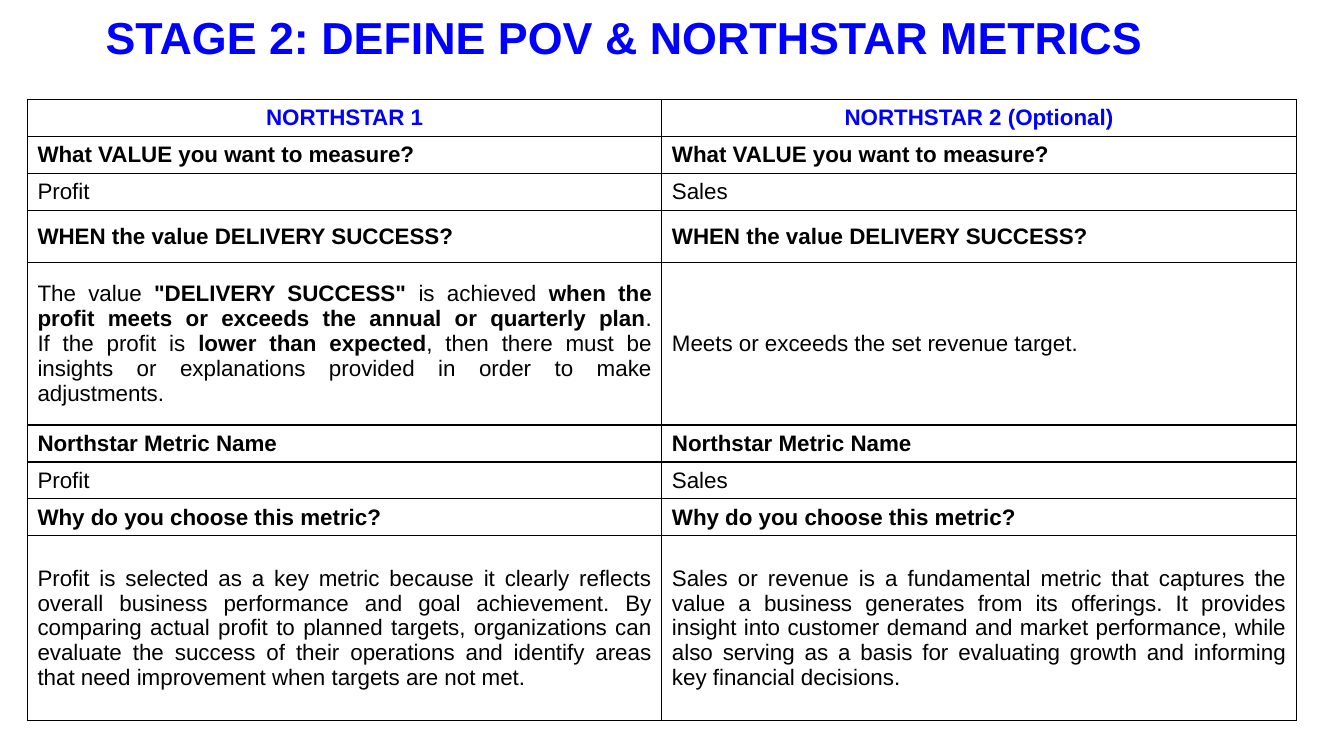
"""Build the Stage 2 slide: point of view and northstar metrics table."""
from lxml import etree
from pptx import Presentation
from pptx import util as u
from pptx.dml import color
from pptx.enum import text
from pptx.oxml import ns

COLORS = {"blue": "0000FF", "black": "000000", "white": "FFFFFF"}
FONT = "Arial"
TITLE = "STAGE 2: DEFINE POV & NORTHSTAR METRICS"
HEADERS = ("NORTHSTAR 1", "NORTHSTAR 2 (Optional)")
SUCCESS = [
    ("The value ", False),
    ('"DELIVERY SUCCESS"', True),
    (" is achieved ", False),
    ("when the profit meets or exceeds the annual or quarterly plan", True),
    (".", False),
    ("\n", False),
    ("If the profit is ", False),
    ("lower than expected", True),
    (", then there must be insights or explanations provided in order to make adjustments.", False),
]
PROFIT_REASON = (
    "Profit is selected as a key metric because it clearly reflects overall business performance "
    "and goal achievement. By comparing actual profit to planned targets, organizations can evaluate "
    "the success of their operations and identify areas that need improvement when targets are not met."
)
SALES_REASON = (
    "Sales or revenue is a fundamental metric that captures the value a business generates from its "
    "offerings. It provides insight into customer demand and market performance, while also serving as "
    "a basis for evaluating growth and informing key financial decisions."
)
LINE_HEIGHT = 26.4
QUESTIONS = [
    ("What VALUE you want to measure?", LINE_HEIGHT, ("Profit", "Sales"), LINE_HEIGHT),
    ("WHEN the value DELIVERY SUCCESS?", 37.2,
     (SUCCESS, "Meets or exceeds the set revenue target."), 116.2),
    ("Northstar Metric Name", LINE_HEIGHT, ("Profit", "Sales"), LINE_HEIGHT),
    ("Why do you choose this metric?", LINE_HEIGHT, (PROFIT_REASON, SALES_REASON), 132),
]
SLIDE_WIDTH, SLIDE_HEIGHT = 960, 540
TABLE_LEFT, TABLE_TOP, COLUMN_WIDTH = 19.6, 71, 453.2


def add_run(paragraph, words, size, bold, tint):
    if words == "\n":
        paragraph.add_line_break()
        return
    run = paragraph.add_run()
    run.text = words
    run.font.name = FONT
    run.font.size = u.Pt(size)
    run.font.bold = bold
    run.font.color.rgb = color.RGBColor.from_string(COLORS[tint])


def add_borders(cell):
    properties = cell._tc.get_or_add_tcPr()
    for index, side in enumerate(("lnL", "lnR", "lnT", "lnB")):
        line = etree.Element(ns.qn(f"a:{side}"), w=str(u.Pt(1)))
        fill = etree.SubElement(line, ns.qn("a:solidFill"))
        etree.SubElement(fill, ns.qn("a:srgbClr"), val=COLORS["black"])
        properties.insert(index, line)


def fill_cell(cell, content, bold, tint, alignment):
    cell.fill.solid()
    cell.fill.fore_color.rgb = color.RGBColor.from_string(COLORS["white"])
    cell.vertical_anchor = text.MSO_ANCHOR.MIDDLE
    add_borders(cell)
    paragraph = cell.text_frame.paragraphs[0]
    paragraph.alignment = alignment
    runs = [(content, bold)] if isinstance(content, str) else content
    for words, is_bold in runs:
        add_run(paragraph, words, 16, is_bold, tint)


def add_title(slide):
    title = slide.shapes.title
    title.left, title.top = u.Pt(-34), u.Pt(3.6)
    title.width, title.height = u.Pt(SLIDE_WIDTH), u.Pt(46)
    frame = title.text_frame
    frame.word_wrap = True
    frame.auto_size = text.MSO_AUTO_SIZE.NONE
    frame.vertical_anchor = text.MSO_ANCHOR.TOP
    paragraph = frame.paragraphs[0]
    paragraph.alignment = text.PP_ALIGN.CENTER
    add_run(paragraph, TITLE, 32, True, "blue")


def add_metrics(slide):
    rows = [(HEADERS, LINE_HEIGHT, True, "blue", text.PP_ALIGN.CENTER)]
    for question, question_height, answers, answer_height in QUESTIONS:
        rows.append(((question, question), question_height, True, "black", text.PP_ALIGN.JUSTIFY))
        rows.append((answers, answer_height, False, "black", text.PP_ALIGN.JUSTIFY))
    total_height = sum(row[1] for row in rows)
    table = slide.shapes.add_table(
        len(rows), len(HEADERS), u.Pt(TABLE_LEFT), u.Pt(TABLE_TOP),
        u.Pt(COLUMN_WIDTH * len(HEADERS)), u.Pt(total_height)).table
    for column in table.columns:
        column.width = u.Pt(COLUMN_WIDTH)
    for row, (contents, height, bold, tint, alignment) in zip(table.rows, rows):
        row.height = u.Pt(height)
        for cell, content in zip(row.cells, contents):
            fill_cell(cell, content, bold, tint, alignment)


def main():
    presentation = Presentation()
    presentation.slide_width = u.Pt(SLIDE_WIDTH)
    presentation.slide_height = u.Pt(SLIDE_HEIGHT)
    slide = presentation.slides.add_slide(presentation.slide_layouts[5])
    add_title(slide)
    add_metrics(slide)
    presentation.save("out.pptx")


if __name__ == "__main__":
    main()
